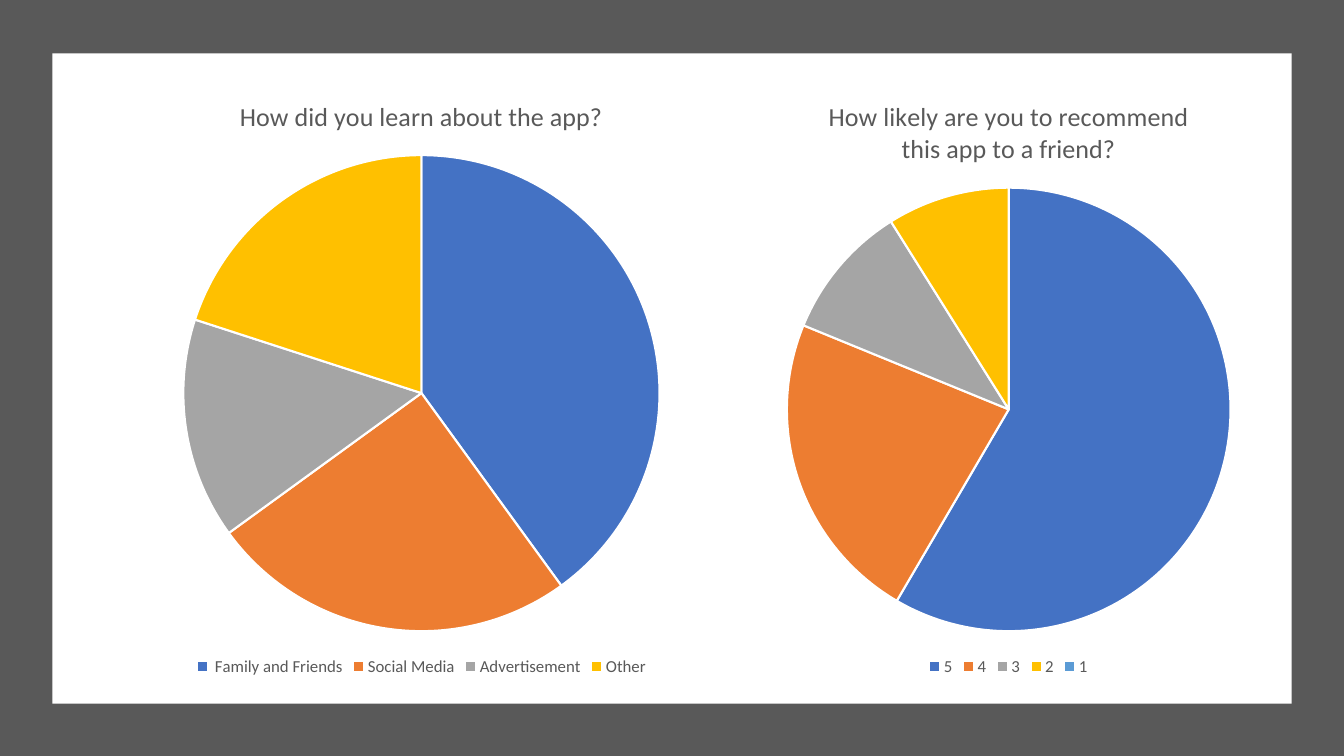
from pptx import Presentation
from pptx.chart.data import CategoryChartData
from pptx.dml.color import RGBColor
from pptx.enum.chart import XL_CHART_TYPE, XL_LEGEND_POSITION
from pptx.enum.shapes import MSO_SHAPE
from pptx.util import Inches, Pt

FONT = "Calibri"
WHITE = RGBColor(0xFF, 0xFF, 0xFF)
BLACK = RGBColor(0x00, 0x00, 0x00)
GRAY = RGBColor(0x59, 0x59, 0x59)
SLICE_COLORS = [
    RGBColor(0x44, 0x72, 0xC4),
    RGBColor(0xED, 0x7D, 0x31),
    RGBColor(0xA5, 0xA5, 0xA5),
    RGBColor(0xFF, 0xC0, 0x00),
    RGBColor(0x5B, 0x9B, 0xD5),
]


def set_font(font, size, color):
    font.name = FONT
    font.size = Pt(size)
    font.bold = False
    font.color.rgb = color


def add_text(tf, text, size=18.6, color=GRAY):
    p = tf.paragraphs[0]
    r = p.add_run()
    r.text = text
    set_font(p.font, size, color)
    set_font(r.font, size, color)


def add_panel(s, left, top, width, height, color):
    sp = s.shapes.add_shape(MSO_SHAPE.RECTANGLE, Inches(left), Inches(top),
                            Inches(width), Inches(height))
    sp.shadow.inherit = False
    sp.fill.solid()
    sp.fill.fore_color.rgb = color
    sp.line.fill.background()


def add_pie(s, left, width, question, answers):
    """Add a pie of the answers, given as (label, value) pairs."""
    data = CategoryChartData()
    data.categories = [label for label, _ in answers]
    data.add_series(question, [value for _, value in answers])
    frame = s.shapes.add_chart(XL_CHART_TYPE.PIE, Inches(left), Inches(0.75),
                               Inches(width), Inches(6), data)
    chart = frame.chart
    set_font(chart.font, 10, BLACK)
    chart.has_title = True
    add_text(chart.chart_title.text_frame, question)
    chart.chart_title.include_in_layout = False

    chart.has_legend = True
    chart.legend.position = XL_LEGEND_POSITION.BOTTOM
    chart.legend.include_in_layout = False
    set_font(chart.legend.font, 12, GRAY)

    plot = chart.plots[0]
    plot.vary_by_categories = True
    for i, color in enumerate(SLICE_COLORS[:len(answers)]):
        slice_format = plot.series[0].points[i].format
        slice_format.fill.solid()
        slice_format.fill.fore_color.rgb = color
        slice_format.line.color.rgb = WHITE
        slice_format.line.width = Pt(1.5)


def main():
    prs = Presentation()
    prs.slide_width = Inches(13.33)
    prs.slide_height = Inches(7.5)
    s = prs.slides.add_slide(prs.slide_layouts[6])

    add_panel(s, 0, 0, 13.33, 7.5, GRAY)
    add_panel(s, 0.52, 0.53, 12.29, 6.45, WHITE)
    add_pie(s, 0.89, 6.58, "How did you learn about the app?",
            [(" Family and Friends", 40), ("Social Media", 25),
             ("Advertisement", 15), ("Other", 20)])
    add_pie(s, 7.56, 4.89,
            "How likely are you to recommend this app to a friend?",
            [("5", 59), ("4", 23), ("3", 10), ("2", 9), ("1", None)])
    prs.save("out.pptx")


if __name__ == "__main__":
    main()
